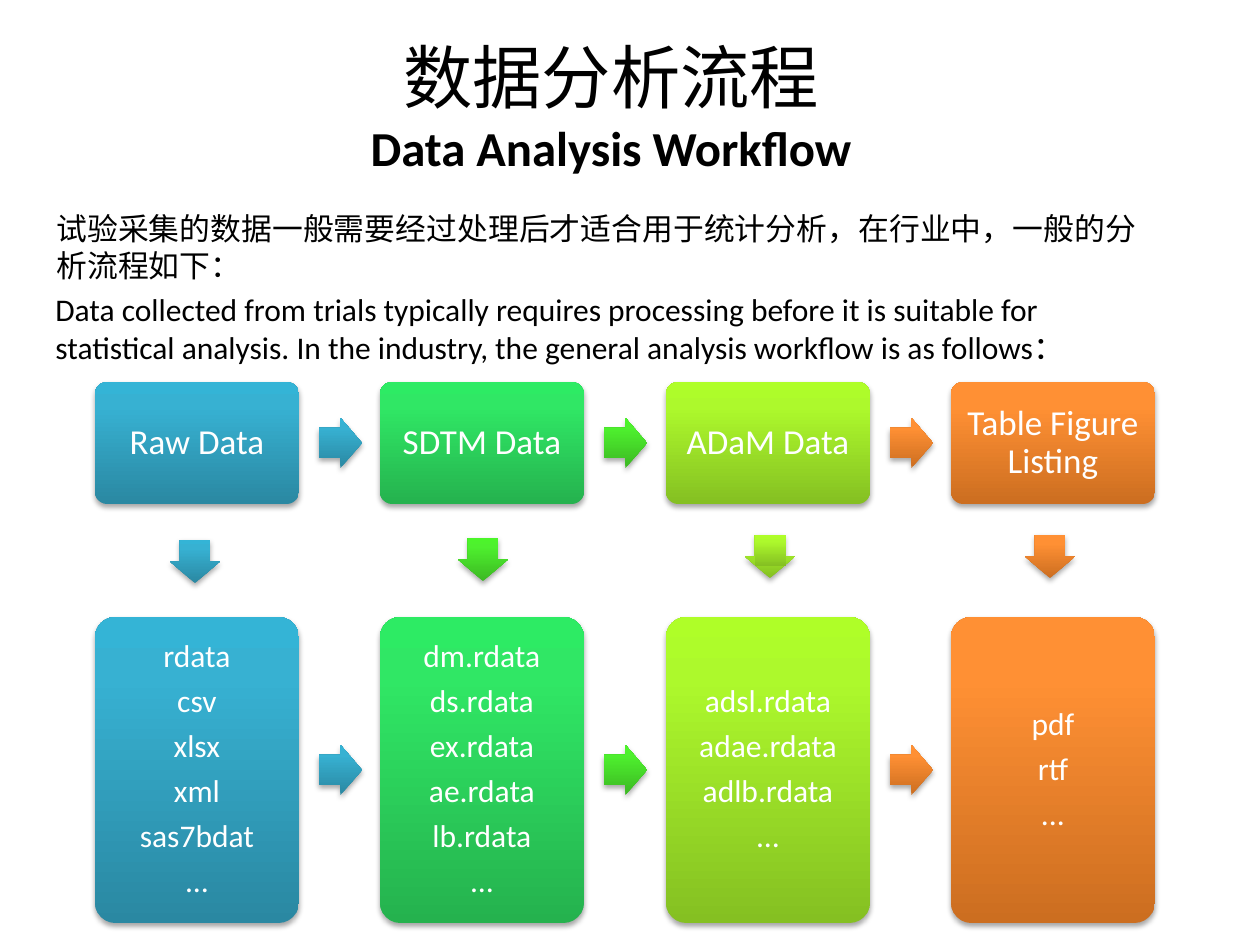
from lxml.etree import SubElement
from pptx import Presentation
from pptx.dml.color import RGBColor
from pptx.enum.shapes import MSO_SHAPE
from pptx.enum.text import MSO_ANCHOR, MSO_AUTO_SIZE, PP_ALIGN
from pptx.oxml import parse_xml
from pptx.oxml.ns import nsdecls, qn
from pptx.util import Emu, Pt

# Gradient stops from the bottom edge to the top edge
GRADIENTS = {
    "blue": ("2A88A2", "37B1D2", "34B4D6"),
    "emerald": ("25B24E", "30E765", "2DEB64"),
    "green": ("3CB923", "4EF02E", "4CF52A"),
    "lime": ("85C022", "ADF92C", "AFFE28"),
    "orange": ("CC6E20", "FF9034", "FF9136"),
}
COLORS = {"text": "000000", "card text": "FFFFFF", "shadow": "000000"}
STOPS = (0, 80, 100)


class SlideBuilder:
    font = "Calibri"
    px_per_inch = 126

    def __init__(self, page):
        self.page = page

    def px(self, length):
        return Emu(round(length * 914400 / self.px_per_inch))

    def place(self, shape, left, top, width, height):
        shape.left, shape.top = self.px(left), self.px(top)
        shape.width, shape.height = self.px(width), self.px(height)

    def style(self, span, size, color, font=None, bold=False):
        span.font.size = Pt(size)
        span.font.name = font or self.font
        span.font.bold = bold
        span.font.color.rgb = RGBColor.from_string(COLORS[color])

    def title(self, lines, sizes, *frame):
        title = self.page.shapes.title
        self.place(title, *frame)
        text_frame = title.text_frame
        text_frame.auto_size = MSO_AUTO_SIZE.NONE
        text_frame.vertical_anchor = MSO_ANCHOR.MIDDLE
        text_frame.text = "\v".join(lines)
        para = text_frame.paragraphs[0]
        para.alignment = PP_ALIGN.CENTER
        for span, size, bold in zip(para.runs, sizes, (False, True)):
            self.style(span, size, "text", bold=bold)

    def paragraph(self, text, size, font, *frame):
        box = self.page.shapes.add_textbox(*map(self.px, frame))
        box.text_frame.word_wrap = True
        box.text_frame.text = text
        para = box.text_frame.paragraphs[0]
        para.space_before = Pt(3.6)
        self.style(para.runs[0], size, "text", font)

    def gradient_shape(self, kind, gradient, *frame, adjustments=(), shadow=True):
        shape = self.page.shapes.add_shape(kind, *map(self.px, frame))
        for index, value in enumerate(adjustments):
            shape.adjustments[index] = value
        shape.line.fill.background()
        shape.shadow.inherit = False
        # Three-stop vertical gradient
        shape.fill.gradient()
        shape.fill.gradient_angle = 90
        stops = shape.element.spPr.find(qn("a:gradFill")).find(qn("a:gsLst"))
        for stop in list(stops):
            stops.remove(stop)
        for position, color in zip(STOPS, GRADIENTS[gradient]):
            stop = SubElement(stops, qn("a:gs"), pos=str(position * 1000))
            SubElement(stop, qn("a:srgbClr"), val=color)
        # Soft shadow below the shape
        if shadow:
            effects = shape.element.spPr.find(qn("a:effectLst"))
            effects.append(parse_xml(
                f'<a:outerShdw {nsdecls("a")} blurRad="40000" dist="23000" '
                f'dir="5400000" rotWithShape="0"><a:srgbClr val="{COLORS["shadow"]}">'
                '<a:alpha val="35000"/></a:srgbClr></a:outerShdw>'))
        return shape

    def card(self, lines, size, inset, gradient, *frame):
        card = self.gradient_shape(MSO_SHAPE.ROUNDED_RECTANGLE, gradient, *frame,
                                   adjustments=(0.1,))
        text_frame = card.text_frame
        text_frame.word_wrap = True
        text_frame.vertical_anchor = MSO_ANCHOR.MIDDLE
        text_frame.margin_left = text_frame.margin_right = self.px(inset)
        text_frame.margin_top = text_frame.margin_bottom = self.px(inset)
        text_frame.text = "\n".join(lines)
        for para in text_frame.paragraphs:
            para.alignment = PP_ALIGN.CENTER
            para.line_spacing = 0.9
            para.space_after = Pt(size * 0.35)
            self.style(para.runs[0], size, "card text")

    def arrow(self, kind, gradient, *frame):
        self.gradient_shape(kind, gradient, *frame, adjustments=(0.6, 0.5))


def main():
    deck = Presentation()
    deck.slide_width, deck.slide_height = Emu(9144000), Emu(6858000)
    page = deck.slides.add_slide(deck.slide_layouts[5])
    builder = SlideBuilder(page)

    # Title and introduction
    builder.title(("数据分析流程", "Data Analysis Workflow"), (39.6, 27.9),
                  44, 26, 1134, 158)

    # Workflow stages: card colour, name, files
    stages = (
        ("blue", "Raw Data", ("rdata", "csv", "xlsx", "xml", "sas7bdat", "…")),
        ("emerald", "SDTM Data", ("dm.rdata", "ds.rdata", "ex.rdata",
                                  "ae.rdata", "lb.rdata", "…")),
        ("lime", "ADaM Data", ("adsl.rdata", "adae.rdata", "adlb.rdata", "…")),
        ("orange", "Table Figure Listing", ("pdf", "rtf", "...")),
    )
    step_colors = ("blue", "green", "orange")
    first_left, pitch, card_width = 95, 285.4, 204
    arrow_length, arrow_breadth = 43, 50

    # Rows: top, height, text size, inset
    rows = ((382, 122, 20, 10), (617, 306, 18, 9))
    for row, (top, height, size, inset) in enumerate(rows):
        for column, (color, name, files) in enumerate(stages):
            left = round(first_left + column * pitch)
            lines = files if row else (name,)
            builder.card(lines, size, inset, color, left, top, card_width, height)
            if column < len(step_colors):
                builder.arrow(MSO_SHAPE.RIGHT_ARROW, step_colors[column],
                              left + 224, top + (height - arrow_breadth) // 2,
                              arrow_length, arrow_breadth)

    # Arrows from each stage down to its files
    down_arrows = (("blue", 170, 540), ("green", 458, 538),
                   ("orange", 1025, 535), ("lime", 745, 535))
    for color, left, top in down_arrows:
        builder.arrow(MSO_SHAPE.DOWN_ARROW, color, left, top,
                      arrow_breadth, arrow_length)
    builder.gradient_shape(MSO_SHAPE.RECTANGLE, "lime", 755, 535, 31, 31, shadow=False)

    # Introduction in both languages
    builder.paragraph(
        "试验采集的数据一般需要经过处理后才适合用于统计分析，在行业中，一般的分析流程如下：",
        17.6, "Arial", 44, 204, 1121, 89)
    builder.paragraph(
        "Data collected from trials typically requires processing before it is suitable "
        "for statistical analysis. In the industry, the general analysis workflow is "
        "as follows：",
        18, "Calibri", 43, 284, 1121, 89)

    deck.save("out.pptx")


if __name__ == "__main__":
    main()
